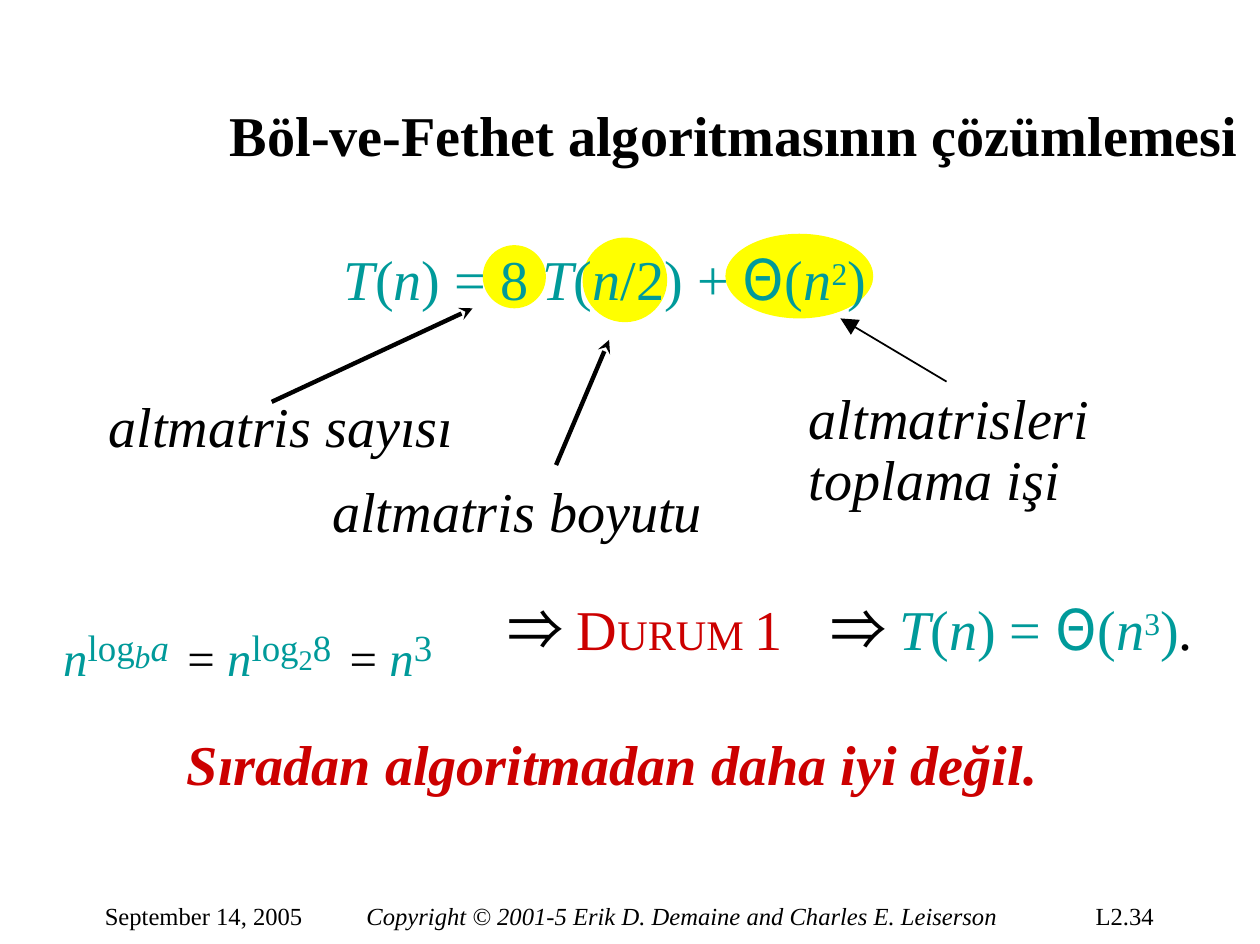
from dataclasses import dataclass

from lxml import etree
from pptx import Presentation
from pptx.dml.color import RGBColor
from pptx.enum import shapes, text
from pptx.oxml import ns
from pptx.util import Inches, Pt


@dataclass(frozen=True)
class Theme:
    serif: str = "Times New Roman"
    symbol: str = "Noto Sans CJK JP"
    black: str = "000000"
    teal: str = "009A9A"
    red: str = "CC0000"
    yellow: str = "FFFF00"
    body: int = 32
    small_caps: int = 24
    superscript: int = 31
    power: int = 48
    exponent: int = 21
    exponent_gap: int = 42
    footer: int = 14


THEME = Theme()


@dataclass(frozen=True)
class Run:
    words: str
    size: int = THEME.body
    color: str = THEME.black
    font: str = THEME.serif
    bold: bool = False
    italic: bool = False
    shift: int = 0


@dataclass(frozen=True)
class Line:
    left: float
    top: float
    width: float
    height: float
    runs: tuple[Run, ...]
    spacing: float | None = None


@dataclass(frozen=True)
class Highlight:
    left: float
    top: float
    width: float
    height: float


@dataclass(frozen=True)
class Arrow:
    start: tuple[float, float]
    tip: tuple[float, float]
    weight: float
    head: str
    head_size: str


def math_run(words: str, **style) -> Run:
    return Run(words, **{"color": THEME.teal, "italic": words.isalpha(), **style})


def theta_of_power(power: str) -> tuple[Run, ...]:
    return (
        math_run("Θ", font=THEME.symbol, italic=False),
        math_run("("),
        math_run("n"),
        math_run(power, size=THEME.superscript, shift=26),
        math_run(")"),
    )


def exponent(words: str, **style) -> Run:
    return math_run(words, **{"size": THEME.exponent, "italic": False, **style})


def add_run(paragraph, words: str, *, size: int, color: str, font: str,
            bold: bool, italic: bool, shift: int) -> None:
    run = paragraph.add_run()
    run.text = words
    run.font.size = Pt(size)
    run.font.name = font
    run.font.bold = bold
    run.font.italic = italic
    run.font.color.rgb = RGBColor.from_string(color)
    properties = run.font._element
    if shift:
        properties.set("baseline", str(shift * 1000))
    if font == THEME.symbol:
        for script in ("a:ea", "a:cs"):
            etree.SubElement(properties, ns.qn(script)).set("typeface", font)


def add_line(slide, line: Line) -> None:
    box = slide.shapes.add_textbox(Inches(line.left), Inches(line.top),
                                   Inches(line.width), Inches(line.height))
    frame = box.text_frame
    frame.word_wrap = True
    frame.auto_size = text.MSO_AUTO_SIZE.NONE
    frame.margin_left = frame.margin_right = frame.margin_top = frame.margin_bottom = 0
    paragraph = frame.paragraphs[0]
    if line.spacing:
        paragraph.line_spacing = Pt(line.spacing)
    for run in line.runs:
        add_run(paragraph, run.words, size=run.size, color=run.color, font=run.font,
                bold=run.bold, italic=run.italic, shift=run.shift)


def add_highlight(slide, spot: Highlight) -> None:
    oval = slide.shapes.add_shape(shapes.MSO_SHAPE.OVAL, Inches(spot.left), Inches(spot.top),
                                  Inches(spot.width), Inches(spot.height))
    oval.shadow.inherit = False
    oval.fill.solid()
    oval.fill.fore_color.rgb = RGBColor.from_string(THEME.yellow)
    oval.line.fill.background()


def add_arrow(slide, arrow: Arrow) -> None:
    connector = slide.shapes.add_connector(
        shapes.MSO_CONNECTOR.STRAIGHT,
        *(Inches(value) for value in arrow.start + arrow.tip))
    connector.line.width = Pt(arrow.weight)
    connector.line.color.rgb = RGBColor.from_string(THEME.black)
    head = etree.SubElement(connector.line._get_or_add_ln(), ns.qn("a:tailEnd"))
    head.set("type", arrow.head)
    head.set("w", arrow.head_size)
    head.set("len", arrow.head_size)
    etree.SubElement(connector._element.spPr, ns.qn("a:effectLst"))


HIGHLIGHTS = (
    Highlight(3.82, 1.94, 0.5, 0.5),
    Highlight(4.61, 1.88, 0.67, 0.67),
    Highlight(5.74, 1.85, 1.17, 0.67),
)
ARROWS = (
    Arrow((2.15, 3.18), (3.74, 2.44), 2.5, "stealth", "med"),
    Arrow((4.4, 3.68), (4.82, 2.69), 2.5, "stealth", "med"),
    Arrow((7.49, 3.02), (6.65, 2.52), 1, "triangle", "lg"),
)
POWER = {"size": THEME.power, "shift": -17}
EQUALS = (Run(" ", size=THEME.exponent_gap), Run("= ", **POWER))
IMPLIES = Run("⇒ ", font=THEME.symbol)
LINES = (
    Line(1.82, 0.79, 8.1, 0.52, (Run("Böl-ve-Fethet algoritmasının çözümlemesi", bold=True),)),
    Line(2.72, 1.93, 4.4, 0.52, (
        math_run("T"), math_run("("), math_run("n"), math_run(") = 8 "),
        math_run("T"), math_run("("), math_run("n"), math_run("/2) + "),
        *theta_of_power("2"))),
    Line(0.86, 3.1, 3, 0.52, (Run("altmatris sayısı", italic=True),)),
    Line(2.63, 3.77, 3.2, 0.52, (Run("altmatris boyutu", italic=True),)),
    Line(6.4, 3.09, 2.25, 0.96, (Run("altmatrisleri toplama işi", italic=True),), 34.5),
    Line(0.5, 4.57, 3.49, 0.68, (
        math_run("n", **POWER), exponent("log"),
        exponent("b", size=THEME.superscript, italic=True, shift=-13),
        exponent("a", italic=True), *EQUALS,
        math_run("n", **POWER), exponent("log"),
        exponent("2", size=28, shift=-18), exponent("8"), *EQUALS,
        math_run("n", **POWER), exponent("3"))),
    Line(4.02, 4.7, 2.5, 0.55, (
        IMPLIES, Run("D", color=THEME.red),
        Run("URUM ", size=THEME.small_caps, color=THEME.red), Run("1", color=THEME.red))),
    Line(6.57, 4.7, 3.1, 0.55, (
        IMPLIES, math_run("T"), math_run("("), math_run("n"), math_run(") = "),
        *theta_of_power("3"), Run("."))),
    Line(1.48, 5.77, 6.9, 0.55, (
        Run("Sıradan algoritmadan daha iyi değil.", color=THEME.red, bold=True, italic=True),)),
    Line(0.83, 7.13, 1.7, 0.25, (Run("September 14, 2005", size=THEME.footer),)),
    Line(2.9, 7.13, 5.2, 0.25, (
        Run("Copyright © 2001-5 Erik D. Demaine and Charles E. Leiserson",
            size=THEME.footer, italic=True),)),
    Line(8.67, 7.13, 0.6, 0.25, (Run("L2.34", size=THEME.footer),)),
)


def main() -> None:
    deck = Presentation()
    deck.slide_width = Inches(9.97)
    deck.slide_height = Inches(7.47)
    slide = deck.slides.add_slide(deck.slide_layouts[6])
    for spot in HIGHLIGHTS:
        add_highlight(slide, spot)
    for arrow in ARROWS:
        add_arrow(slide, arrow)
    for line in LINES:
        add_line(slide, line)
    deck.save("out.pptx")


if __name__ == "__main__":
    main()
